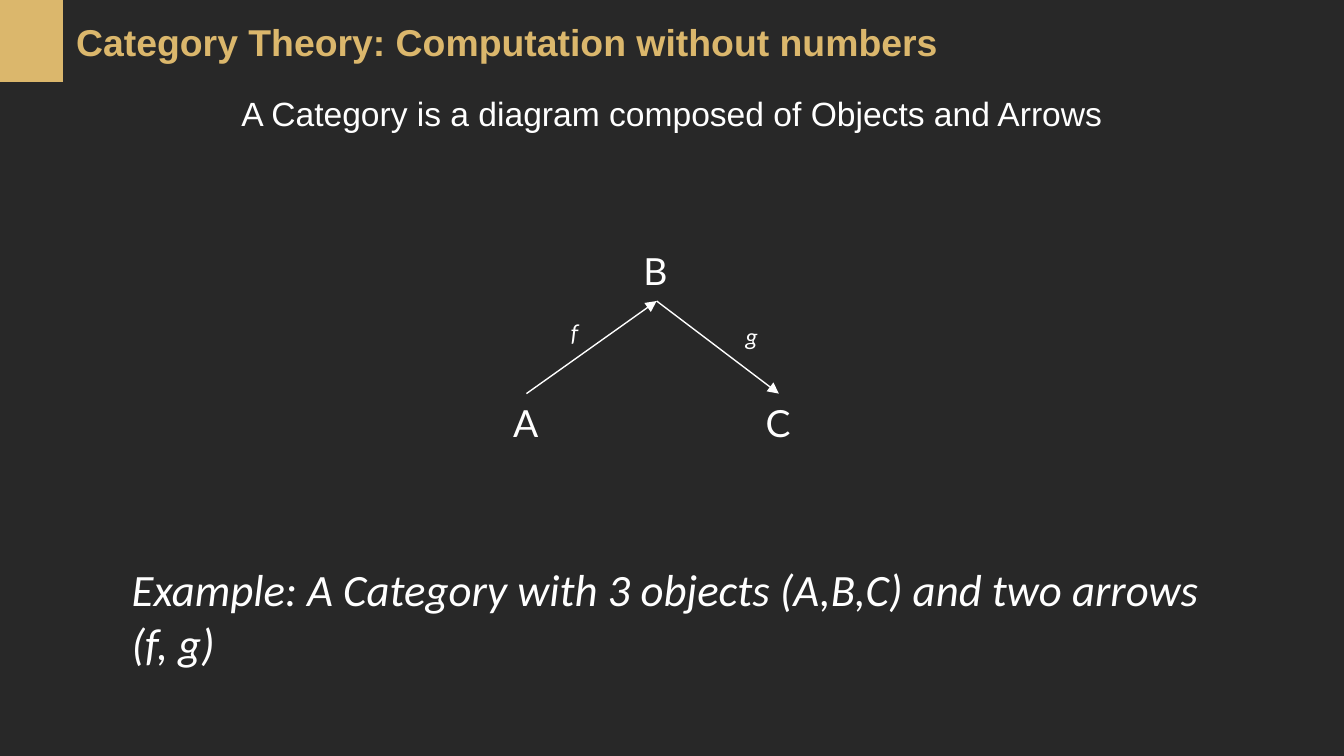
from lxml.etree import SubElement
from pptx import Presentation
from pptx.dml.color import RGBColor
from pptx.enum.shapes import MSO_CONNECTOR, MSO_SHAPE
from pptx.enum.text import MSO_AUTO_SIZE, PP_ALIGN
from pptx.oxml.ns import qn
from pptx.util import Cm, Pt

BACKGROUND = "282828"
GOLD = "DBB76C"
WHITE = "FFFFFF"
TOP, BOTTOM = 0, 2


def paint(color_format, value):
    color_format.rgb = RGBColor.from_string(value)


class SlideBuilder:
    """Holds the current slide and its default text style."""

    def __init__(self, slide, color=WHITE, font="Calibri"):
        self.slide = slide
        self.color = color
        self.font = font

    def background(self, color):
        fill = self.slide.background.fill
        fill.solid()
        paint(fill.fore_color, color)

    def rectangle(self, left, top, width, height, color):
        shape = self.slide.shapes.add_shape(
            MSO_SHAPE.RECTANGLE, Cm(left), Cm(top), Cm(width), Cm(height))
        shape.shadow.inherit = False
        shape.fill.solid()
        paint(shape.fill.fore_color, color)
        shape.line.fill.background()

    def text(self, words, left, top, width, height, size, font=None, color=None,
             bold=False, italic=False, wrap=False, align=PP_ALIGN.LEFT):
        box = self.slide.shapes.add_textbox(Cm(left), Cm(top), Cm(width), Cm(height))
        frame = box.text_frame
        frame.word_wrap = wrap
        frame.auto_size = MSO_AUTO_SIZE.SHAPE_TO_FIT_TEXT
        para = frame.paragraphs[0]
        para.alignment = align
        span = para.add_run()
        span.text = words
        span.font.name = font or self.font
        span.font.size = Pt(size)
        span.font.bold = bold
        span.font.italic = italic
        paint(span.font.color, color or self.color)
        return box

    def node(self, name, left, top):
        return self.text(name, left, top, 1, 1.12, 20, font="Lato")

    def arrow(self, source, source_side, target, target_side):
        connector = self.slide.shapes.add_connector(MSO_CONNECTOR.STRAIGHT, 0, 0, 0, 0)
        connector.begin_connect(source, source_side)
        connector.end_connect(target, target_side)
        connector.line.width = Pt(0.75)
        paint(connector.line.color, self.color)
        properties = connector._element.spPr
        SubElement(properties.find(qn("a:ln")), qn("a:tailEnd"), type="triangle")
        SubElement(properties, qn("a:effectLst"))


def main():
    deck = Presentation()
    deck.slide_width, deck.slide_height = Cm(25.4), Cm(14.29)
    page = SlideBuilder(deck.slides.add_slide(deck.slide_layouts[6]))

    page.background(BACKGROUND)
    page.text("Category Theory: Computation without numbers",
              1.19, 0.23, 17.17, 1.12, 20, font="Arial", color=GOLD, bold=True)
    page.rectangle(0, 0, 1.19, 1.55, GOLD)
    page.text("A Category is a diagram composed of Objects and Arrows",
              1.96, 1.63, 21.48, 1.02, 18, font="Arial", wrap=True,
              align=PP_ALIGN.CENTER)

    node_a = page.node("A", 9.45, 7.44)
    node_b = page.node("B", 11.91, 4.57)
    node_c = page.node("C", 14.22, 7.44)
    page.arrow(node_a, TOP, node_b, BOTTOM)
    page.arrow(node_b, BOTTOM, node_c, TOP)
    page.text("f", 10.54, 5.87, 0.66, 0.81, 13, italic=True)
    page.text("g", 13.84, 5.94, 0.74, 0.81, 13, italic=True)

    page.text("Example: A Category with 3 objects (A,B,C) and two arrows (f, g)",
              2.24, 10.49, 20.96, 2.31, 24, italic=True, wrap=True)

    deck.save("out.pptx")


if __name__ == "__main__":
    main()
